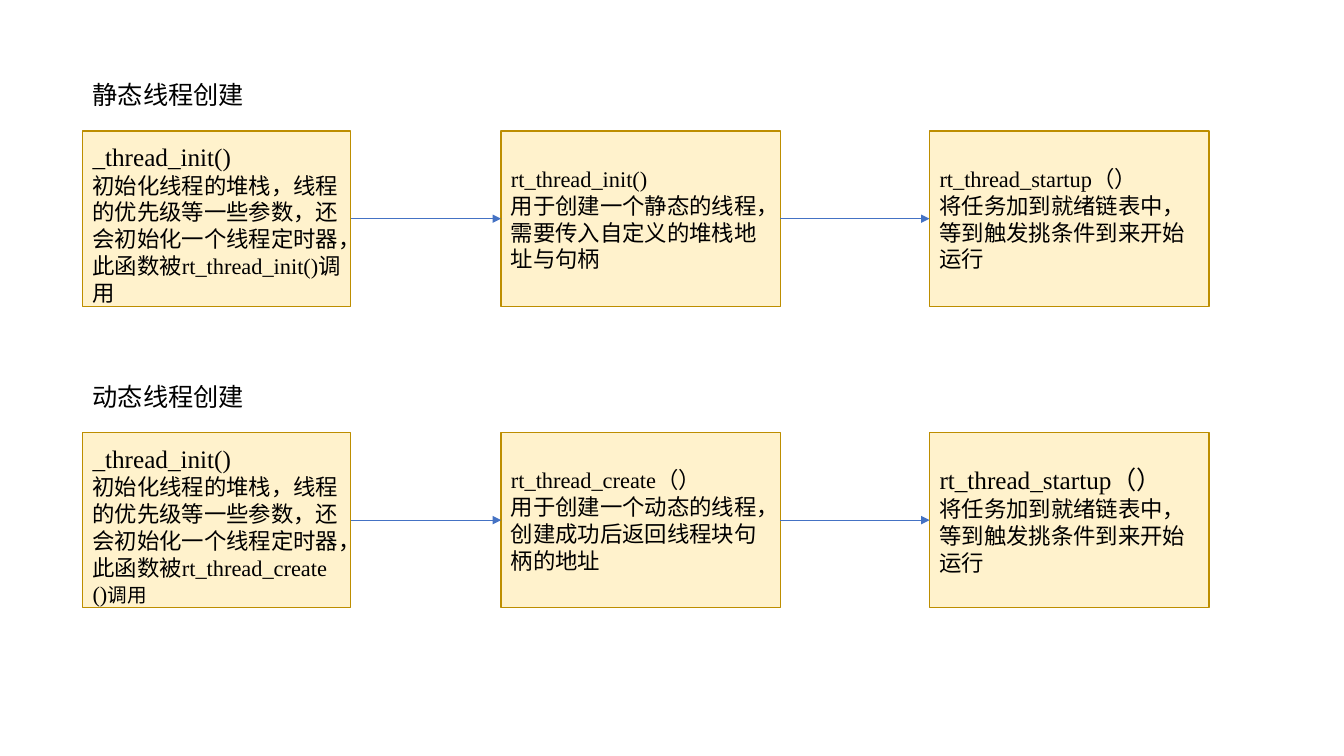
from dataclasses import dataclass
from lxml.etree import SubElement
from pptx import Presentation
from pptx.dml.color import RGBColor
from pptx.enum.shapes import MSO_CONNECTOR, MSO_SHAPE
from pptx.enum.text import MSO_ANCHOR, MSO_AUTO_SIZE, PP_ALIGN
from pptx.oxml.ns import qn
from pptx.util import Inches, Pt


@dataclass(frozen=True)
class Theme:
    """Colours, fonts and type sizes of the slide."""
    fill: RGBColor = RGBColor(0xFF, 0xF2, 0xCC)
    border: RGBColor = RGBColor(0xBD, 0x8E, 0x00)
    arrow: RGBColor = RGBColor(0x44, 0x72, 0xC4)
    text: RGBColor = RGBColor(0, 0, 0)
    heading_font: str = "Noto Sans CJK SC"
    body_font: str = "Times New Roman"
    large: Pt = Pt(18)
    normal: Pt = Pt(16)
    small: Pt = Pt(14)


THEME = Theme()
FLOW_LEFT = 0.82
FLOW_TOPS = (0.74, 3.73)
STEP_OFFSETS = (0, 4.15, 8.4)
STEP_WIDTHS = (2.66, 2.77, 2.77)
STEP_DROP, STEP_HEIGHT = 0.56, 1.74
INIT_TEXT = "初始化线程的堆栈，线程的优先级等一些参数，还会初始化一个线程定时器，此函数被"
STARTUP_TEXT = "将任务加到就绪链表中，等到触发挑条件到来开始运行"

FLOWS = (
    ("静态线程创建", (
        ("_thread_init()", THEME.large,
         ((INIT_TEXT + "rt_thread_init()调用", None),)),
        ("rt_thread_init()", THEME.normal,
         (("用于创建一个静态的线程，需要传入自定义的堆栈地址与句柄", None),)),
        ("rt_thread_startup（）", THEME.normal, ((STARTUP_TEXT, None),)),
    )),
    ("动态线程创建", (
        ("_thread_init()", THEME.large,
         ((INIT_TEXT + "rt_thread_create ()", None), ("调用", THEME.small))),
        ("rt_thread_create（）", THEME.normal,
         (("用于创建一个动态的线程，创建成功后返回线程块句柄的地址", None),)),
        ("rt_thread_startup（）", THEME.large, ((STARTUP_TEXT, None),)),
    )),
)


def write_paragraph(para, spans, size, font):
    """Fill a paragraph with spans, each with an optional size of its own."""
    para.alignment = PP_ALIGN.LEFT
    para.space_before = Pt(0)
    para.font.size = size
    para.font.name = font
    para.font.bold = False
    para.font.color.rgb = THEME.text
    for text, span_size in spans:
        span = para.add_run()
        span.text = text
        if span_size:
            span.font.size = span_size


def place_heading(box, text, left, top):
    """Place a flow heading in its placeholder."""
    box.left, box.top = Inches(left), Inches(top)
    box.width, box.height = Inches(1.72), Inches(0.4)
    frame = box.text_frame
    frame.word_wrap = False
    frame.auto_size = MSO_AUTO_SIZE.NONE
    frame.vertical_anchor = MSO_ANCHOR.TOP
    write_paragraph(frame.paragraphs[0], ((text, None),), THEME.large, THEME.heading_font)


def add_step(page, left, top, width, step):
    """Add a step box with a function name above its description."""
    name, name_size, description = step
    box = page.shapes.add_shape(MSO_SHAPE.RECTANGLE, Inches(left), Inches(top),
                                Inches(width), Inches(STEP_HEIGHT))
    box.shadow.inherit = False
    box.fill.solid()
    box.fill.fore_color.rgb = THEME.fill
    box.line.color.rgb = THEME.border
    box.line.width = Pt(1)
    frame = box.text_frame
    frame.word_wrap = True
    frame.vertical_anchor = MSO_ANCHOR.MIDDLE
    if name.startswith("_"):
        frame.margin_top, frame.margin_bottom = Inches(0.1), Inches(0)
    write_paragraph(frame.paragraphs[0], ((name, None),), name_size, THEME.body_font)
    write_paragraph(frame.add_paragraph(), description, THEME.normal, THEME.body_font)
    return box


def add_arrow(page, start, end):
    """Connect the right side of one step to the left side of the next."""
    arrow = page.shapes.add_connector(MSO_CONNECTOR.STRAIGHT, 0, 0, 0, 0)
    arrow.begin_connect(start, 3)
    arrow.end_connect(end, 1)
    arrow.line.color.rgb = THEME.arrow
    arrow.line.width = Pt(0.5)
    SubElement(arrow.line._get_or_add_ln(), qn("a:tailEnd"), type="triangle")
    SubElement(arrow._element.spPr, qn("a:effectLst"))


def add_flow(page, heading_box, left, top, flow):
    """Place a heading and its row of connected steps."""
    heading, steps = flow
    place_heading(heading_box, heading, left, top)
    boxes = [add_step(page, left + offset, top + STEP_DROP, width, step)
             for offset, width, step in zip(STEP_OFFSETS, STEP_WIDTHS, steps)]
    for start, end in zip(boxes, boxes[1:]):
        add_arrow(page, start, end)


def main():
    """Build and save the deck."""
    deck = Presentation()
    deck.slide_width, deck.slide_height = Inches(13.33), Inches(7.5)
    page = deck.slides.add_slide(deck.slide_layouts.get_by_name("Comparison"))
    headings = [page.placeholders[1], page.placeholders[3]]
    for heading_box, top, flow in zip(headings, FLOW_TOPS, FLOWS):
        add_flow(page, heading_box, FLOW_LEFT, top, flow)
    for box in list(page.placeholders):
        if not box.text_frame.text:
            box._element.getparent().remove(box._element)
    deck.save("out.pptx")


main()
